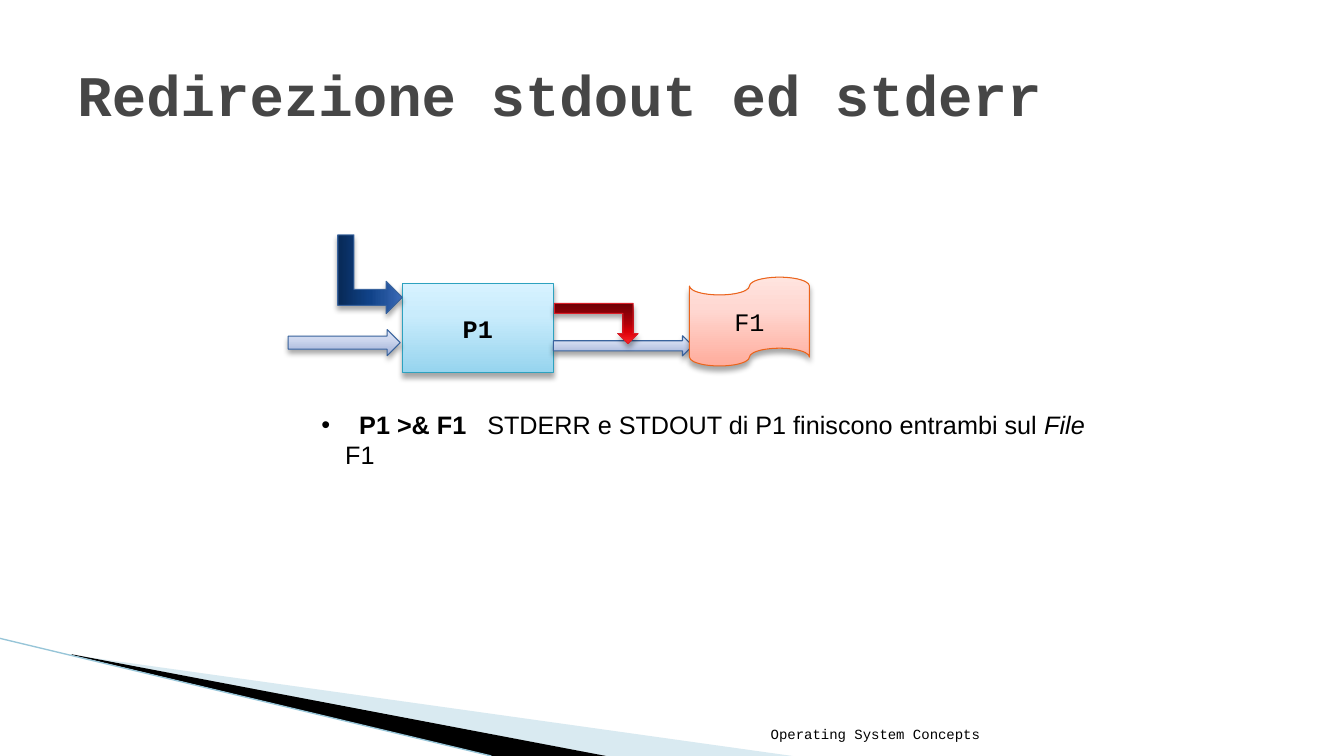
from lxml import etree
from pptx import Presentation
from pptx import util as u
from pptx.dml import color
from pptx.enum import shapes, text
from pptx.oxml import ns

THEME = {
    "mono": "Courier New", "sans": "Arial",
    "title_size": 41, "body_size": 18, "footer_size": 10,
    "title": "464646", "ink": "000000", "pale": "A0CBDC", "edge": "97C5D8",
    "process": ("2DA2BF", ((0, "96D4EE"), (65, "C9ECFC"), (100, "D7F2FF"))),
    "input": ("39639D", ((0, "072956"), (50, "104288"), (70, "205199"), (100, "3D6BB9"))),
    "stream": ("39639D", ((0, "9FAFD6"), (65, "D0D9EF"), (100, "DCE3F6"))),
    "error": ("DA1F28", ((0, "6D0005"), (50, "B00008"), (70, "DA0008"), (100, "FF2429"))),
    "file": ("EB641B", ((0, "FFAC9C"), (65, "FFD8D2"), (100, "FFE4DF"))),
}
MONO = {"name": THEME["mono"], "color": THEME["ink"]}
SANS = {"name": THEME["sans"], "size": THEME["body_size"], "color": THEME["ink"]}
LABEL = MONO | {"size": THEME["body_size"]}
LEFT, CENTER, RIGHT = text.PP_ALIGN.LEFT, text.PP_ALIGN.CENTER, text.PP_ALIGN.RIGHT
TOP, MIDDLE, BOTTOM = text.MSO_ANCHOR.TOP, text.MSO_ANCHOR.MIDDLE, text.MSO_ANCHOR.BOTTOM

WEDGES = [
    ([(52.5, 468), (566, 540), (432, 540)], THEME["pale"], 40),
    ([(51, 467.3), (433, 540), (351, 540), (52, 468)], THEME["ink"], 100),
]
EDGE_LINE = (0, 456, 351, 540)

TEXTS = [
    ((48.25, 21.6, 864, 90), MIDDLE, LEFT,
     [("Redirezione stdout ed stderr",
       MONO | {"size": THEME["title_size"], "color": THEME["title"], "bold": True})]),
    ((460, 504.7, 247, 28.8), BOTTOM, RIGHT,
     [("Operating System Concepts", MONO | {"size": THEME["footer_size"]})]),
]
BULLET_TEXT = ((222.5, 288.7, 581.8, 51), TOP, LEFT, [
    ("\tP1 >& F1\t", SANS | {"bold": True}),
    ("STDERR e STDOUT di P1 finiscono entrambi sul ", SANS),
    ("File ", SANS | {"italic": True}),
    ("F1", SANS),
])
HANGING = 17
TAB_STOPS = (27, 118.5)

KIND = shapes.MSO_SHAPE
DIAGRAM = [
    (KIND.RECTANGLE, (287.3, 202.3, 108, 64.1), "process", 0, False, ("P1", LABEL | {"bold": True})),
    (KIND.BENT_UP_ARROW, (236.2, 172.8, 56.2, 46.1), "input", 90, False, None),
    (KIND.RIGHT_ARROW, (205.9, 235.4, 80, 18.7), "stream", 0, False, None),
    (KIND.RIGHT_ARROW, (395.3, 239.8, 99.4, 14.4), "stream", 0, False, None),
    (KIND.BENT_UP_ARROW, (396, 216.7, 59.8, 28.8), "error", 0, True, None),
]
FILE_SHAPE = (KIND.FLOWCHART_PUNCHED_TAPE, (492.5, 198, 85.7, 63.4), "file", 0, False, ("F1", LABEL))


def rgb(value):
    return color.RGBColor.from_string(value)


def points(values):
    return [u.Pt(value) for value in values]


def child(parent, tag, **attributes):
    return etree.SubElement(parent, ns.qn(tag), {k: str(v) for k, v in attributes.items()})


def write(frame, runs, anchor, alignment):
    frame.word_wrap = True
    frame.vertical_anchor = anchor
    paragraph = frame.paragraphs[0]
    paragraph.alignment = alignment
    for words, style in runs:
        run = paragraph.add_run()
        run.text = words
        for key, value in style.items():
            if key == "color":
                run.font.color.rgb = rgb(value)
            else:
                setattr(run.font, key, u.Pt(value) if key == "size" else value)
    return paragraph


def add_text(slide, box, anchor, alignment, runs):
    shape = slide.shapes.add_textbox(*points(box))
    return write(shape.text_frame, runs, anchor, alignment)


def add_bullet(paragraph):
    properties = paragraph._p.get_or_add_pPr()
    properties.set("marL", str(u.Pt(HANGING)))
    properties.set("indent", str(-u.Pt(HANGING)))
    child(properties, "a:buFont", typeface=THEME["sans"])
    child(properties, "a:buChar", char="•")
    tabs = child(properties, "a:tabLst")
    for stop in TAB_STOPS:
        child(tabs, "a:tab", pos=u.Pt(stop), algn="l")


def add_wedge(slide, corners, fill, opacity):
    start, *rest = [points(corner) for corner in corners]
    builder = slide.shapes.build_freeform(*start)
    builder.add_line_segments(rest, close=True)
    wedge = builder.convert_to_shape()
    wedge.shadow.inherit = False
    wedge.line.fill.background()
    wedge.fill.solid()
    wedge.fill.fore_color.rgb = rgb(fill)
    if opacity < 100:
        child(wedge._element.spPr.find(".//" + ns.qn("a:srgbClr")), "a:alpha", val=opacity * 1000)


def add_glossy(slide, kind, box, palette, rotation, flipped, label):
    shape = slide.shapes.add_shape(kind, *points(box))
    shape.rotation = rotation
    line, stops = THEME[palette]
    properties = shape._element.spPr
    if flipped:
        properties.find(ns.qn("a:xfrm")).set("flipV", "1")
    gradient = child(properties, "a:gradFill", rotWithShape=1)
    stop_list = child(gradient, "a:gsLst")
    for position, shade in stops:
        child(child(stop_list, "a:gs", pos=position * 1000), "a:srgbClr", val=shade)
    child(gradient, "a:lin", ang=270 * 60000, scaled=0)
    shape.line.color.rgb = rgb(line)
    shape.line.width = u.Pt(0.75)
    effects = child(properties, "a:effectLst")
    shadow = child(effects, "a:outerShdw", blurRad=u.Pt(4), dist=u.Pt(3),
                   dir=90 * 60000, rotWithShape=0)
    child(child(shadow, "a:srgbClr", val=THEME["ink"]), "a:alpha", val=35000)
    if label:
        write(shape.text_frame, [label], MIDDLE, CENTER)


def main():
    presentation = Presentation()
    presentation.slide_width, presentation.slide_height = points((960, 540))
    slide = presentation.slides.add_slide(presentation.slide_layouts[6])
    for wedge in WEDGES:
        add_wedge(slide, *wedge)
    edge = slide.shapes.add_connector(shapes.MSO_CONNECTOR.STRAIGHT, *points(EDGE_LINE))
    edge.line.color.rgb = rgb(THEME["edge"])
    edge.line.width = u.Pt(0.95)
    child(edge._element.spPr, "a:effectLst")
    for item in TEXTS:
        add_text(slide, *item)
    for item in DIAGRAM:
        add_glossy(slide, *item)
    add_bullet(add_text(slide, *BULLET_TEXT))
    add_glossy(slide, *FILE_SHAPE)
    presentation.save("out.pptx")


if __name__ == "__main__":
    main()
